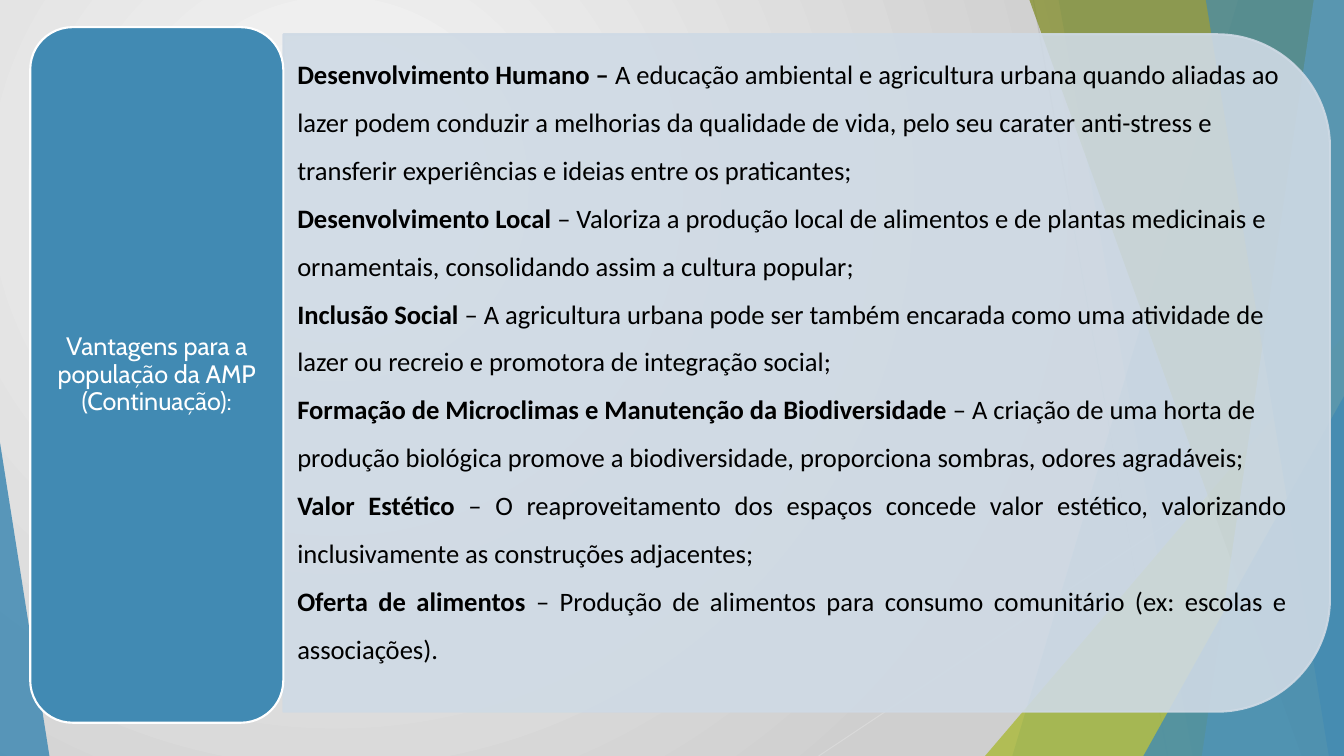
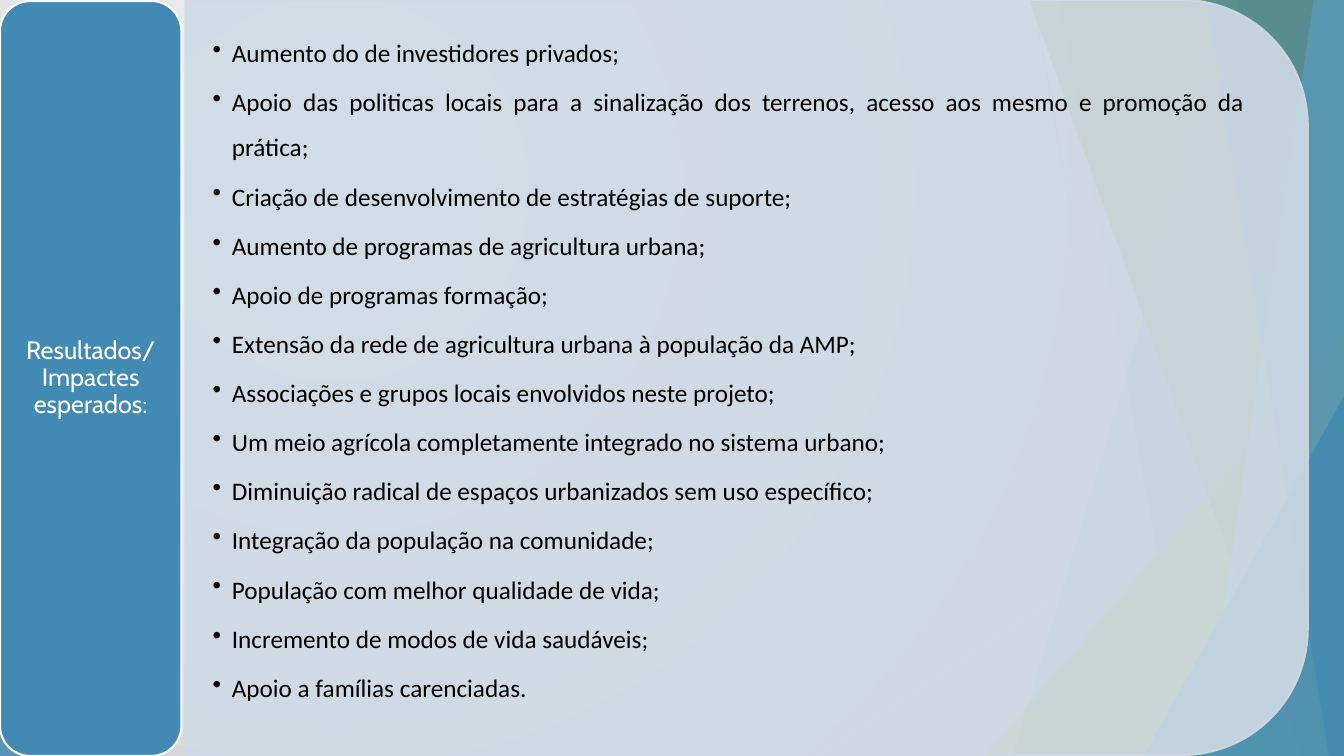
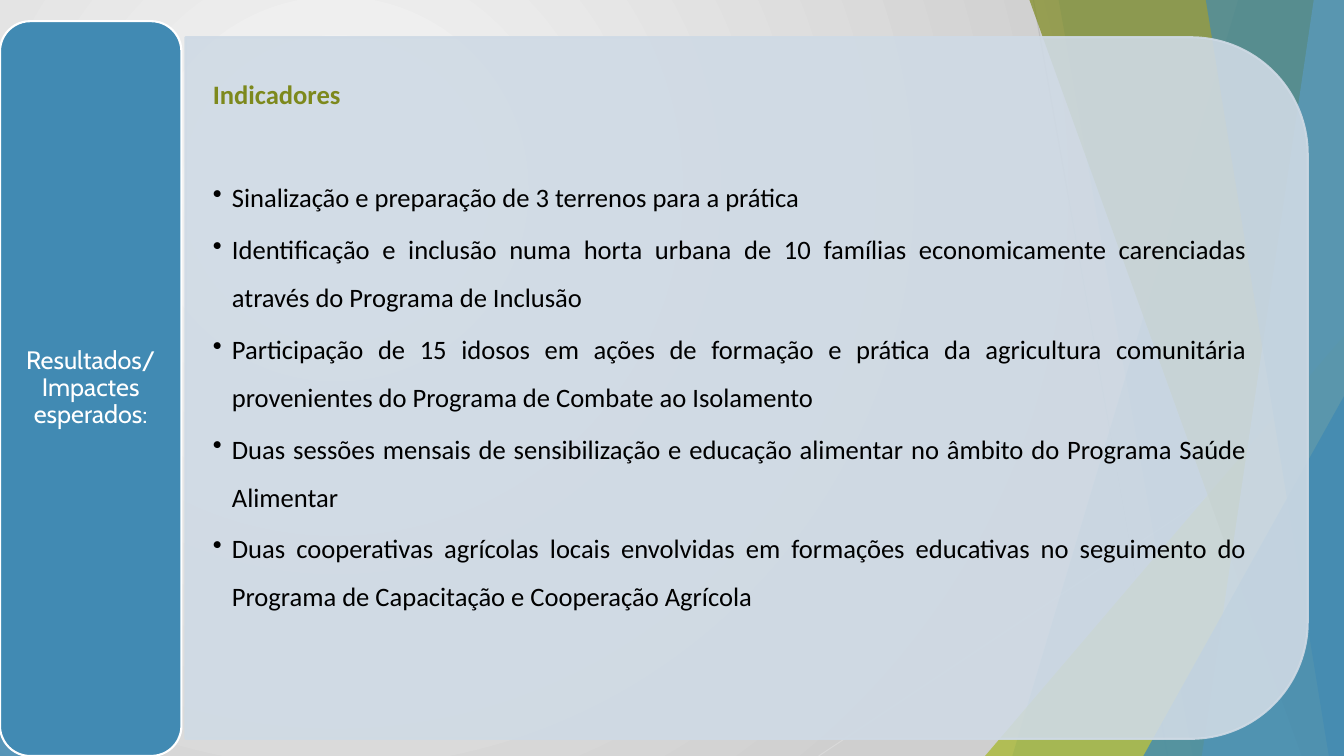
from pptx import Presentation
from pptx.dml.color import RGBColor
from pptx.enum.shapes import MSO_CONNECTOR, MSO_SHAPE
from pptx.enum.text import MSO_ANCHOR, PP_ALIGN
from pptx.oxml.ns import qn
from pptx.util import Inches, Pt
from lxml import etree

STRAIGHT = MSO_CONNECTOR.STRAIGHT
TRIANGLE = MSO_SHAPE.ISOSCELES_TRIANGLE
ROUNDED = MSO_SHAPE.ROUNDED_RECTANGLE
ROUND_TOP = MSO_SHAPE.ROUND_2_SAME_RECTANGLE
TOP, MIDDLE = MSO_ANCHOR.TOP, MSO_ANCHOR.MIDDLE
LEFT, CENTER, JUSTIFY = PP_ALIGN.LEFT, PP_ALIGN.CENTER, PP_ALIGN.JUSTIFY

BLUE = RGBColor(0x41, 0x8A, 0xB3)
LIGHT_BLUE = RGBColor(0x8A, 0xBA, 0xD4)
PALE_BLUE = RGBColor(0xCF, 0xDA, 0xE5)
GREEN = RGBColor(0xA6, 0xB7, 0x27)
OLIVE = RGBColor(0x7D, 0x89, 0x1D)
WHITE = RGBColor(0xFF, 0xFF, 0xFF)
BLACK = RGBColor(0, 0, 0)
GREY = RGBColor(0xBF, 0xBF, 0xBF)
LIGHT_GREY = RGBColor(0xD9, 0xD9, 0xD9)
GLOW = RGBColor(0xF7, 0xF7, 0xF7)
SHADE = RGBColor(0xCF, 0xCF, 0xCF)

WIDTH, HEIGHT = 13.33, 7.5
LABEL_FONT, BODY_FONT = "Cabin", "Calibri"

ADVANTAGES_LABEL = "Vantagens para a população da AMP (Continuação):"
RESULTS_LABEL = "Resultados/ Impactes esperados:"

ADVANTAGES = [
    ("Desenvolvimento Humano – ",
     "A educação ambiental e agricultura urbana quando aliadas ao lazer podem "
     "conduzir a melhorias da qualidade de vida, pelo seu carater anti-stress e "
     "transferir experiências e ideias entre os praticantes;", LEFT),
    ("Desenvolvimento Local ",
     "– Valoriza a produção local de alimentos e de plantas medicinais e "
     "ornamentais, consolidando assim a cultura popular;", LEFT),
    ("Inclusão Social ",
     "– A agricultura urbana pode ser também encarada como uma atividade de "
     "lazer ou recreio e promotora de integração social;", LEFT),
    ("Formação de Microclimas e Manutenção da Biodiversidade",
     " – A criação de uma horta de produção biológica promove a biodiversidade, "
     "proporciona sombras, odores agradáveis;", LEFT),
    ("Valor Estético ",
     "– O reaproveitamento dos espaços concede valor estético, valorizando "
     "inclusivamente as construções adjacentes;", JUSTIFY),
    ("Oferta de alimentos ",
     "– Produção de alimentos para consumo comunitário (ex: escolas e "
     "associações).", JUSTIFY),
]

RESULTS = [
    "Aumento do de investidores privados;",
    "Apoio das politicas locais para a sinalização dos terrenos, acesso aos mesmo "
    "e promoção da prática;",
    "Criação de desenvolvimento de estratégias de suporte;",
    "Aumento de programas de agricultura urbana;",
    "Apoio de programas formação;",
    "Extensão da rede de agricultura urbana à população da AMP;",
    "Associações e grupos locais envolvidos neste projeto;",
    "Um meio agrícola completamente integrado no sistema urbano;",
    "Diminuição radical de espaços urbanizados sem uso específico;",
    "Integração da população na comunidade;",
    "População com melhor qualidade de vida;",
    "Incremento de modos de vida saudáveis;",
    "Apoio a famílias carenciadas.",
]

INDICATORS = [
    "Sinalização e preparação de 3 terrenos para a prática",
    "Identificação e inclusão numa horta urbana de 10 famílias economicamente "
    "carenciadas através do Programa de Inclusão",
    "Participação de 15 idosos em ações de formação e prática da agricultura "
    "comunitária provenientes do Programa de Combate ao Isolamento",
    "Duas sessões mensais de sensibilização e educação alimentar no âmbito do "
    "Programa Saúde Alimentar",
    "Duas cooperativas agrícolas locais envolvidas em formações educativas no "
    "seguimento do Programa de Capacitação e Cooperação Agrícola",
]


def paint(shape, color, opacity=100, line=None):
    """Set fill and outline; the opacity, in percent, applies to both."""
    shape.shadow.inherit = False
    shape.fill.solid()
    shape.fill.fore_color.rgb = color
    if line is None:
        shape.line.fill.background()
    else:
        shape.line.color.rgb = line
        shape.line.width = Pt(1.5)
    if opacity < 100:
        for tint in shape.element.spPr.iter(qn("a:srgbClr")):
            etree.SubElement(tint, qn("a:alpha"), val=str(opacity * 1000))


def add_ray(slide, start, end, color):
    ray = slide.shapes.add_connector(STRAIGHT, *map(Inches, start + end))
    ray.line.color.rgb = color
    ray.line.width = Pt(0.75)
    etree.SubElement(ray.element.spPr, qn("a:effectLst"))


def add_facet(slide, top_x, bottom_x, color, opacity):
    """Full-height band from a slanted left edge to the right side of the slide."""
    builder = slide.shapes.build_freeform(Inches(top_x), 0)
    corners = [(WIDTH, 0), (WIDTH, HEIGHT), (bottom_x, HEIGHT)]
    builder.add_line_segments([(Inches(x), Inches(y)) for x, y in corners])
    paint(builder.convert_to_shape(), color, opacity)


def add_corner(slide, left, top, right, apex, color, opacity):
    """Right triangle on the bottom edge; apex is 0 for left, 1 for right."""
    corner = slide.shapes.add_shape(
        TRIANGLE, *map(Inches, (left, top, right - left, HEIGHT - top)))
    corner.adjustments[0] = apex
    paint(corner, color, opacity)


def set_backdrop(layout, slide):
    """Draw the shared decoration on a slide and move it to the layout."""
    fill = layout.background.fill
    fill.gradient()
    for stop, color, position in zip(fill.gradient_stops, (GLOW, SHADE), (0, 1)):
        stop.color.rgb = color
        stop.position = position
    gradient = next(layout.element.iter(qn("a:gradFill")))
    gradient.remove(gradient.find(qn("a:lin")))
    circle = etree.SubElement(gradient, qn("a:path"), path="circle")
    etree.SubElement(circle, qn("a:fillToRect"),
                     l="50000", t="50000", r="100000", b="100000")

    add_ray(slide, (10.25, 0), (11.58, HEIGHT), GREY)
    add_ray(slide, (WIDTH, 4.03), (8.12, HEIGHT), LIGHT_GREY)
    add_facet(slide, 12.28, 10.04, BLUE, 30)
    add_facet(slide, 10.5, 11.83, BLUE, 20)
    add_corner(slide, 9.77, 3.33, WIDTH, 1, GREEN, 72)
    add_facet(slide, 10.21, 12.91, OLIVE, 70)
    add_facet(slide, 13.03, 11.92, LIGHT_BLUE, 70)
    add_facet(slide, 11.96, 13.18, BLUE, 65)
    add_corner(slide, 11.34, 3.93, WIDTH, 1, BLUE, 80)
    add_corner(slide, 0, 4.39, 0.49, 0, BLUE, 85)

    for placeholder in list(layout.placeholders):
        layout.shapes.element.remove(placeholder.element)
    for shape in list(slide.shapes):
        layout.shapes.element.append(shape.element)


def add_panel(slide, left, top, width, height):
    """Pale panel rounded on its right side: a round-top shape turned by 90°."""
    shift = (width - height) / 2
    panel = slide.shapes.add_shape(
        ROUND_TOP, *map(Inches, (left + shift, top - shift, height, width)))
    panel.rotation = 90
    paint(panel, PALE_BLUE, 90, line=PALE_BLUE)


def set_frame(shape, anchor, side, edge):
    frame = shape.text_frame
    frame.word_wrap = True
    frame.vertical_anchor = anchor
    frame.margin_left = frame.margin_right = Inches(side)
    frame.margin_top = frame.margin_bottom = Inches(edge)
    return frame


def style_runs(para, font, size, color):
    for span in para.runs:
        span.font.name = font
        span.font.size = Pt(size)
        span.font.color.rgb = color


def add_label(slide, text, left, top, width, height):
    label = slide.shapes.add_shape(ROUNDED, *map(Inches, (left, top, width, height)))
    paint(label, BLUE, line=WHITE)
    para = set_frame(label, MIDDLE, 0.07, 0.04).paragraphs[0]
    para.text = text
    para.alignment = CENTER
    para.line_spacing = 0.9
    style_runs(para, LABEL_FONT, 18, WHITE)


def add_body(slide, left, top, width, height, side, edge):
    box = slide.shapes.add_textbox(*map(Inches, (left, top, width, height)))
    return set_frame(box, TOP, side, edge)


def next_para(frame):
    """Return the first paragraph while it is empty, then new ones."""
    first = frame.paragraphs[0]
    para = frame.add_paragraph() if first.runs else first
    para.line_spacing = 1.5
    return para


def add_term(frame, term, text, alignment):
    para = next_para(frame)
    para.alignment = alignment
    para.add_run().text = term
    para.add_run().text = text
    style_runs(para, BODY_FONT, 19, BLACK)
    para.runs[0].font.bold = True


def add_heading(frame, text, size):
    para = next_para(frame)
    para.text = text
    para.space_after = Pt(40)
    style_runs(para, BODY_FONT, size, OLIVE)
    para.runs[0].font.bold = True


def add_bullets(frame, items, size):
    for item in items:
        para = next_para(frame)
        para.text = item
        para.alignment = JUSTIFY
        para.space_after = Pt(size * 0.15)
        style_runs(para, BODY_FONT, size, BLACK)
        properties = para._p.get_or_add_pPr()
        properties.set("marL", str(Inches(0.19)))
        properties.set("indent", str(Inches(-0.19)))
        etree.SubElement(properties, qn("a:buChar"), char="•")


def build_advantages(slide):
    add_panel(slide, 2.81, 0.34, 10.38, 6.72)
    add_label(slide, ADVANTAGES_LABEL, 0.3, 0.27, 2.51, 6.9)
    frame = add_body(slide, 2.85, 0.37, 10.01, 6.73, 0.1, 0.05)
    for term, text, alignment in ADVANTAGES:
        add_term(frame, term, text, alignment)


def build_results(slide):
    add_panel(slide, 1.84, 0, 11.13, 7.49)
    frame = add_body(slide, 1.84, 0.22, 10.77, 6.9, 0.27, 0)
    add_bullets(frame, RESULTS, 18)
    add_label(slide, RESULTS_LABEL, 0, 0.01, 1.8, 7.49)


def build_indicators(slide):
    add_panel(slide, 1.84, 0.37, 11.13, 6.96)
    frame = add_body(slide, 1.84, 0.61, 10.79, 6.28, 0.27, 0)
    add_heading(frame, "Indicadores", 19)
    add_bullets(frame, INDICATORS, 19)
    add_label(slide, RESULTS_LABEL, 0, 0.21, 1.8, 7.29)


def main():
    deck = Presentation()
    deck.slide_width, deck.slide_height = Inches(WIDTH), Inches(HEIGHT)
    blank = deck.slide_layouts[6]
    builders = (build_advantages, build_results, build_indicators)
    slides = [deck.slides.add_slide(blank) for _ in builders]
    set_backdrop(blank, slides[0])
    for build, slide in zip(builders, slides):
        build(slide)
    deck.save("out.pptx")


if __name__ == "__main__":
    main()
